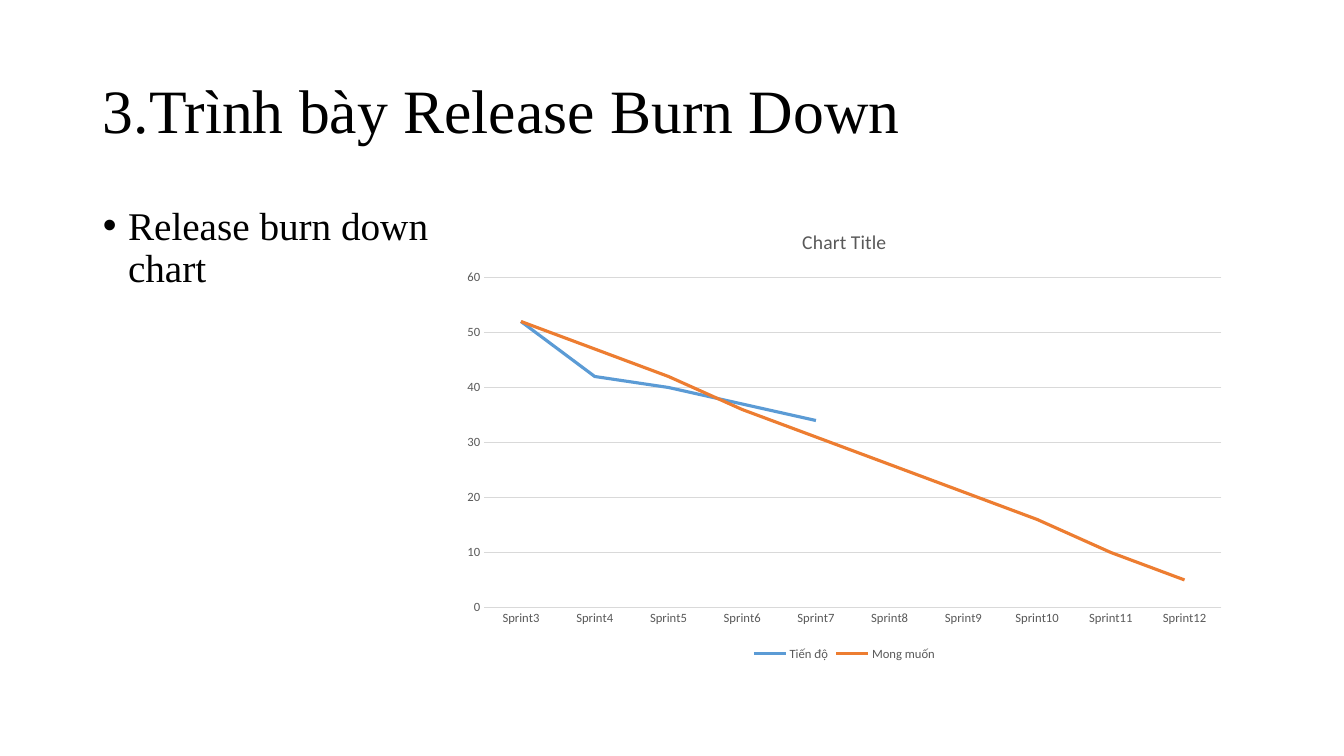
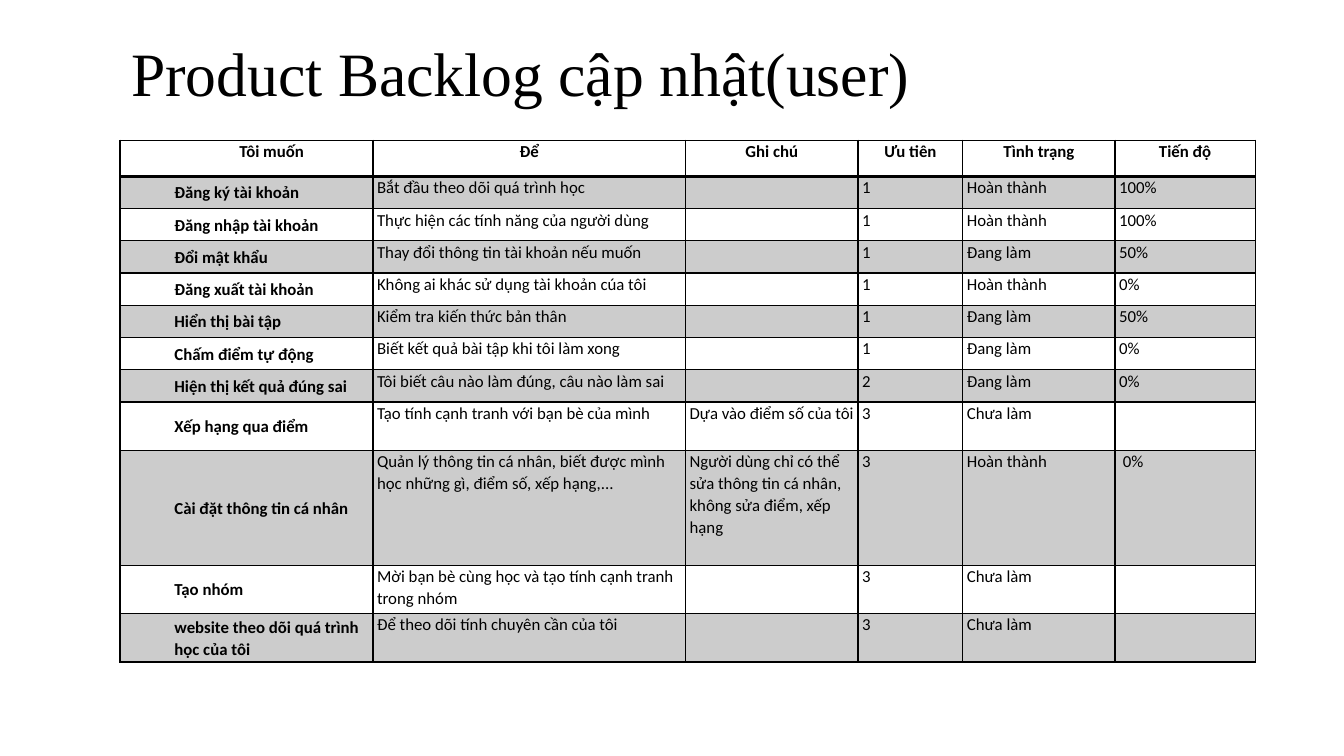
from lxml import etree
from pptx import Presentation
from pptx.chart.data import CategoryChartData
from pptx.dml.color import RGBColor
from pptx.enum.chart import XL_CHART_TYPE, XL_LEGEND_POSITION, XL_TICK_MARK
from pptx.enum.text import MSO_ANCHOR, MSO_AUTO_SIZE, PP_ALIGN
from pptx.oxml.ns import qn
from pptx.util import Inches, Pt

LINE_CHART = XL_CHART_TYPE.LINE
LEGEND_BOTTOM = XL_LEGEND_POSITION.BOTTOM
NO_TICK = XL_TICK_MARK.NONE
TOP, MIDDLE = MSO_ANCHOR.TOP, MSO_ANCHOR.MIDDLE
NO_AUTOFIT = MSO_AUTO_SIZE.NONE
LEFT, CENTER = PP_ALIGN.LEFT, PP_ALIGN.CENTER

COLORS = {
    "ink": "000000",
    "label": "595959",
    "grid": "D9D9D9",
    "progress": "5B9BD5",
    "target": "ED7D31",
}
HEADING_FONT, DETAIL_FONT = "Times New Roman", "Calibri"
TITLE_LAYOUT, LIST_LAYOUT = 5, 1

SPRINTS = [f"Sprint{number}" for number in range(3, 13)]
BURN_DOWN = [
    ("Tiến độ", "progress", [52, 42, 40, 37, 34] + [None] * 5),
    ("Mong muốn", "target", [52, 47, 42, 36, 31, 26, 21, 16, 10, 5]),
]

COLUMN_WIDTHS = [2.51, 3.1, 1.71, 1.04, 1.51, 1.39]
ROW_HEIGHTS = [0.36] + [0.32] * 7 + [0.48, 1.14, 0.48, 0.48]
DONE, DOING, WAITING = "Hoàn thành", "Đang làm", "Chưa làm"
BACKLOG = [
    ("Tôi muốn", "Để", "Ghi chú", "Ưu tiên", "Tình trạng", "Tiến độ"),
    ("Đăng ký tài khoản", "Bắt đầu theo dõi quá trình học", "", "1", DONE, "100%"),
    ("Đăng nhập tài khoản", "Thực hiện các tính năng của người dùng", "", "1", DONE, "100%"),
    ("Đổi mật khẩu", "Thay đổi thông tin tài khoản nếu muốn", "", "1", DOING, "50%"),
    ("Đăng xuất tài khoản", "Không ai khác sử dụng tài khoản cúa tôi", "", "1", DONE, "0%"),
    ("Hiển thị bài tập", "Kiểm tra kiến thức bản thân", "", "1", DOING, "50%"),
    ("Chấm điểm tự động", "Biết kết quả bài tập khi tôi làm xong", "", "1", DOING, "0%"),
    ("Hiện thị kết quả đúng sai", "Tôi biết câu nào làm đúng, câu nào làm sai", "",
     "2", DOING, "0%"),
    ("Xếp hạng qua điểm", "Tạo tính cạnh tranh với bạn bè của mình",
     "Dựa vào điểm số của tôi", "3", WAITING, ""),
    ("Cài đặt thông tin cá nhân",
     "Quản lý thông tin cá nhân, biết được mình học những gì, điểm số, xếp hạng,...",
     "Người dùng chỉ có thể sửa thông tin cá nhân, không sửa điểm, xếp hạng",
     "3", DONE, "\u00a00%"),
    ("Tạo nhóm", "Mời bạn bè cùng học và tạo tính cạnh tranh trong nhóm", "",
     "3", WAITING, ""),
    ("website theo dõi quá trình học của tôi", "Để theo dõi tính chuyên cần của tôi", "",
     "3", WAITING, ""),
]


def rgb(name):
    """Return the named colour."""
    return RGBColor.from_string(COLORS[name])


def style_font(font, size, name=DETAIL_FONT, color="ink", bold=False):
    """Set size, face, colour and weight of a font."""
    font.size, font.name, font.bold = Pt(size), name, bold
    font.color.rgb = rgb(color)


def write(frame, text, align=LEFT, spacing=None, before=0, indent=None, **font):
    """Write one formatted paragraph; indent is (left margin, first line)."""
    para = frame.paragraphs[0]
    para.alignment, para.space_before = align, Pt(before)
    if spacing:
        para.line_spacing = spacing
    if indent:
        margin, first_line = indent
        properties = para._p.get_or_add_pPr()
        properties.set("marL", str(Inches(margin)))
        properties.set("indent", str(Inches(first_line)))
    span = para.add_run()
    span.text = text
    style_font(span.font, **font)


def style_line(line, color, width):
    """Give a line its colour and width."""
    line.color.rgb, line.width = rgb(color), Pt(width)


def border_cell(cell, **widths):
    """Draw the cell's borders, with widths in points by side."""
    properties = cell._tc.get_or_add_tcPr()
    for side in "LRTB":
        line = etree.SubElement(properties, qn(f"a:ln{side}"), w=str(Pt(widths.get(side, 1))))
        fill = etree.SubElement(line, qn("a:solidFill"))
        etree.SubElement(fill, qn("a:srgbClr"), val=COLORS["ink"])


def shade_cell(cell, percent):
    """Fill the cell with ink of the given opacity, or leave it clear."""
    if not percent:
        cell.fill.background()
        return
    cell.fill.solid()
    cell.fill.fore_color.rgb = rgb("ink")
    color = cell._tc.tcPr.find(qn("a:solidFill")).find(qn("a:srgbClr"))
    etree.SubElement(color, qn("a:alpha"), val=str(percent * 1000))


class Report:
    """Holds the deck, its style and the current slide."""

    def __init__(self):
        """Start a widescreen deck."""
        self.deck = Presentation()
        self.deck.slide_width, self.deck.slide_height = Inches(13.33), Inches(7.5)
        self.page = None

    def placeholder(self, index, area, anchor, text, **style):
        """Move a template placeholder and write its text."""
        box = self.page.placeholders[index]
        box.left, box.top, box.width, box.height = map(Inches, area)
        frame = box.text_frame
        frame.auto_size, frame.vertical_anchor = NO_AUTOFIT, anchor
        write(frame, text, spacing=0.9, name=HEADING_FONT, **style)

    def add_page(self, layout, title, area):
        """Start a slide with its title."""
        self.page = self.deck.slides.add_slide(self.deck.slide_layouts[layout])
        self.placeholder(0, area, MIDDLE, title, size=44)

    def bullet(self, text, area):
        """Write the body placeholder as a bullet."""
        self.placeholder(1, area, TOP, text, size=28, before=10, indent=(0.25, -0.25))

    def line_chart(self, title, categories, series, area):
        """Add a line chart from (name, colour, values) series."""
        data = CategoryChartData()
        data.categories = categories
        for name, _, values in series:
            data.add_series(name, values)
        chart = self.page.shapes.add_chart(LINE_CHART, *map(Inches, area), data).chart
        style_font(chart.font, 10)
        write(chart.chart_title.text_frame, title, align=CENTER, size=14, color="label")
        chart.chart_title.include_in_layout = False
        chart.has_legend = True
        chart.legend.position = LEGEND_BOTTOM
        chart.legend.include_in_layout = False
        style_font(chart.legend.font, 9, color="label")
        for axis in (chart.category_axis, chart.value_axis):
            axis.major_tick_mark = axis.minor_tick_mark = NO_TICK
            style_font(axis.tick_labels.font, 9, color="label")
        style_line(chart.category_axis.format.line, "grid", 0.75)
        chart.value_axis.format.line.fill.background()
        style_line(chart.value_axis.major_gridlines.format.line, "grid", 0.75)
        chart.plots[0].vary_by_categories = False
        for plotted, (_, color, _) in zip(chart.plots[0].series, series):
            plotted.smooth = False
            style_line(plotted.format.line, color, 2.25)

    def table(self, rows, widths, heights, left, top):
        """Add a ruled table with a header row and shaded odd rows."""
        table = self.page.shapes.add_table(
            len(rows), len(widths), Inches(left), Inches(top),
            Inches(sum(widths)), Inches(sum(heights))).table
        table.first_row = table.horz_banding = False
        for column, width in zip(table.columns, widths):
            column.width = Inches(width)
        for row, height in zip(table.rows, heights):
            row.height = Inches(height)
        for row_index, row in enumerate(rows):
            for column_index, text in enumerate(row):
                self.cell(table.cell(row_index, column_index), text,
                          row_index, column_index)

    def cell(self, cell, text, row, column):
        """Format one table cell by its place in the grid."""
        header, wish = row == 0, column == 0
        cell.margin_left = cell.margin_right = Inches(0.04)
        cell.margin_top = cell.margin_bottom = 0
        cell.vertical_anchor = MIDDLE if wish and not header else TOP
        border_cell(cell, T=2 if row == 1 else 1, B=2 if header else 1)
        shade_cell(cell, 20 * (row % 2))
        if text:
            write(cell.text_frame, text, align=CENTER if header else LEFT, spacing=1.07,
                  indent=(0.5, 0) if wish else None, size=12, bold=header or wish)


def main():
    """Build and save the deck."""
    report = Report()
    report.add_page(LIST_LAYOUT, "3.Trình bày Release Burn Down", (0.92, 0.4, 11.5, 1.45))
    report.bullet("Release burn down chart", (0.92, 2, 3.9, 3.78))
    report.line_chart("Chart Title", SPRINTS, BURN_DOWN, (4.48, 2.09, 7.79, 4.51))
    report.add_page(TITLE_LAYOUT, "Product Backlog cập nhật(user)", (1.2, 0.31, 11, 0.9))
    report.table(BACKLOG, COLUMN_WIDTHS, ROW_HEIGHTS, 1.19, 1.39)
    report.deck.save("out.pptx")


main()
